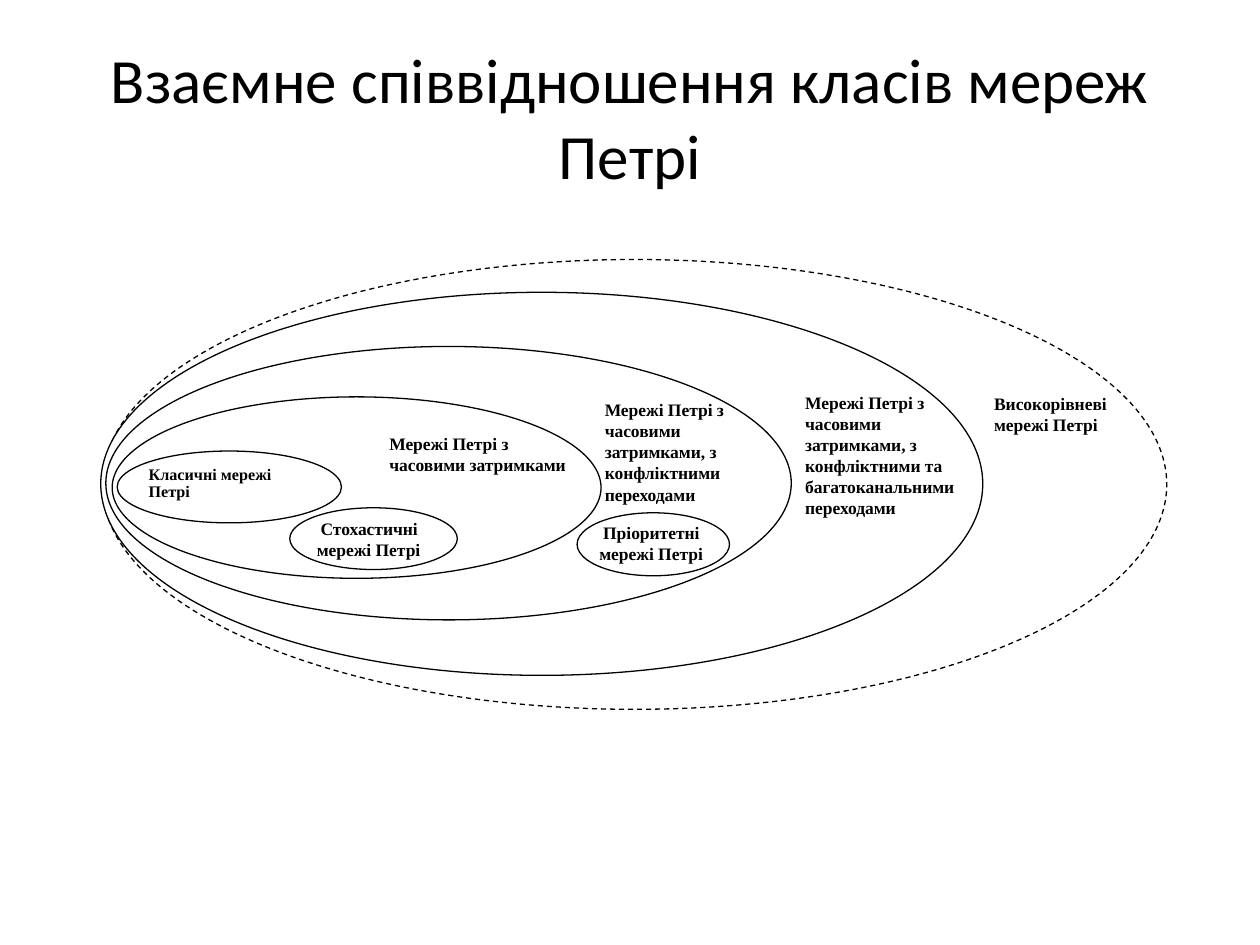
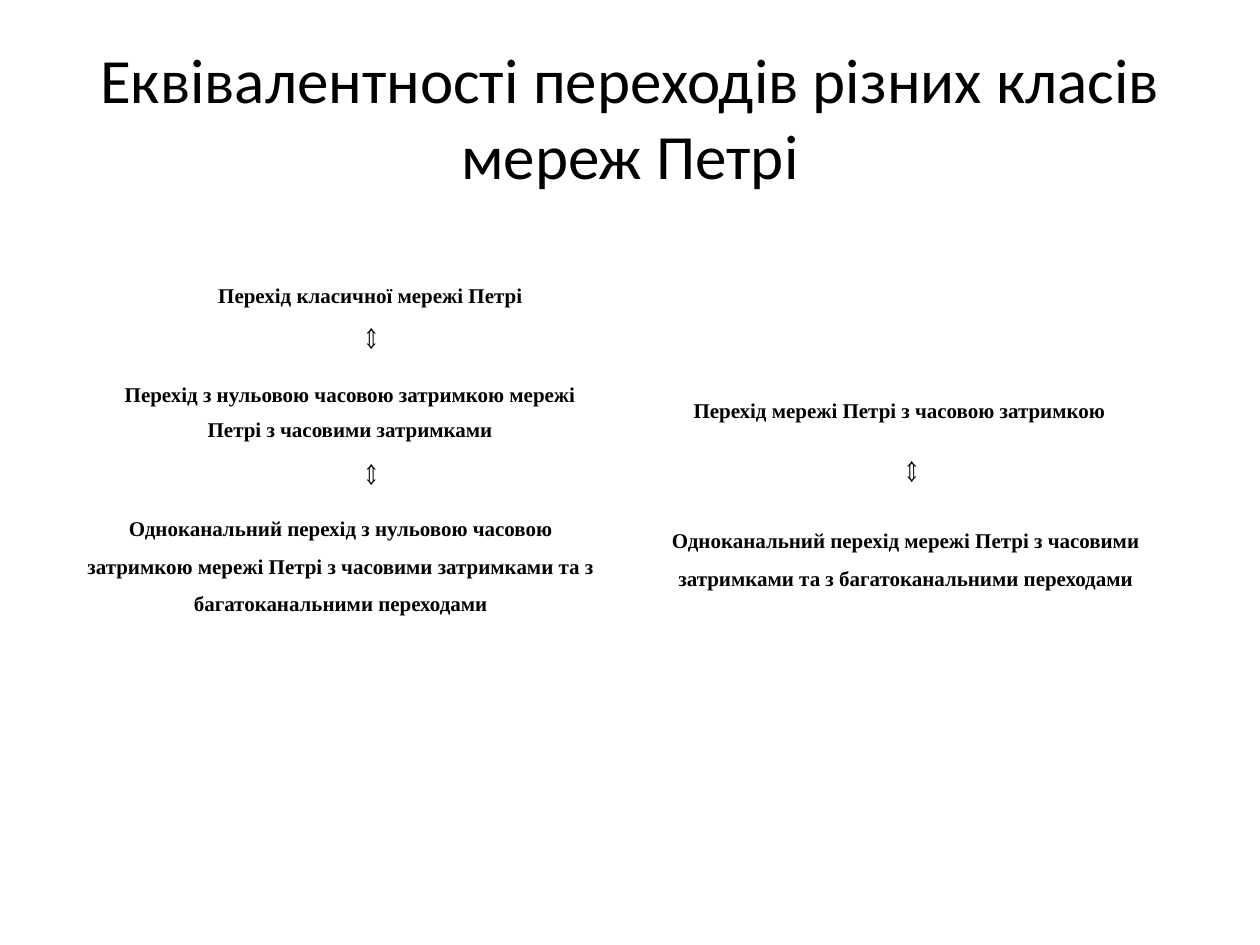
from dataclasses import dataclass

from pptx import Presentation
from pptx.dml.color import RGBColor
from pptx.enum.dml import MSO_LINE
from pptx.enum.shapes import MSO_SHAPE
from pptx.enum.text import MSO_ANCHOR, MSO_AUTO_SIZE, PP_ALIGN
from pptx.util import Inches, Pt


@dataclass(frozen=True)
class Theme:
    ink: RGBColor = RGBColor(0, 0, 0)
    paper: RGBColor = RGBColor(255, 255, 255)
    title_font: str = "Calibri"
    text_font: str = "Times New Roman"
    arrow_font: str = "Arial"
    title_size: float = 36
    statement_size: float = 12
    label_size: float = 10
    small_label_size: float = 9.2
    arrow_size: float = 20
    outline: float = 0.75


THEME = Theme()


# Shared helpers
def write_text(frame, text, size=THEME.label_size, font=THEME.text_font, bold=True,
               align=PP_ALIGN.LEFT, anchor=MSO_ANCHOR.TOP, spacing=None,
               insets=(0, 0), first_indent=0):
    """Fill a text frame; insets are (horizontal, vertical) in inches."""
    frame.word_wrap = True
    frame.auto_size = MSO_AUTO_SIZE.NONE
    frame.vertical_anchor = anchor
    frame.margin_left = frame.margin_right = Inches(insets[0])
    frame.margin_top = frame.margin_bottom = Inches(insets[1])
    para = frame.paragraphs[0]
    para.alignment = align
    if spacing:
        para.line_spacing = spacing
    if first_indent:
        para._p.get_or_add_pPr().set("indent", str(Inches(first_indent)))
    span = para.add_run()
    span.text = text
    span.font.name = font
    span.font.size = Pt(size)
    span.font.bold = bold
    span.font.color.rgb = THEME.ink


def place(origin, box):
    """Turn a box relative to an origin into slide lengths."""
    left, top, width, height = box
    return (Inches(origin[0] + left), Inches(origin[1] + top),
            Inches(width), Inches(height))


def add_panel(slide, origin, box, kind=MSO_SHAPE.RECTANGLE, outlined=False, dashed=False):
    panel = slide.shapes.add_shape(kind, *place(origin, box))
    panel.shadow.inherit = False
    panel.fill.solid()
    panel.fill.fore_color.rgb = THEME.paper
    if outlined:
        panel.line.color.rgb = THEME.ink
        panel.line.width = Pt(THEME.outline)
        if dashed:
            panel.line.dash_style = MSO_LINE.DASH
    else:
        panel.line.fill.background()
    return panel


def add_ellipse(slide, origin, box, dashed=False):
    return add_panel(slide, origin, box, MSO_SHAPE.OVAL, outlined=True, dashed=dashed)


def add_titled_slide(deck, title):
    slide = deck.slides.add_slide(deck.slide_layouts[5])
    heading = slide.shapes.title
    heading.left, heading.top, heading.width, heading.height = place((0.5, 0.3), (0, 0, 9, 1.25))
    write_text(heading.text_frame, title, size=THEME.title_size, font=THEME.title_font,
               bold=False, align=PP_ALIGN.CENTER, anchor=MSO_ANCHOR.MIDDLE, insets=(0.1, 0.05))
    return slide


# Nested classes of nets
def draw_class_diagram(slide, origin):
    nested_classes = [
        (0.01, 0, 8.45, 3.57),
        (0, 0.26, 7, 3.04),
        (0.04, 0.69, 5.44, 2.17),
        (0.09, 1.09, 3.88, 1.44),
        (0.13, 1.52, 1.78, 0.57),
    ]
    for level, box in enumerate(nested_classes):
        add_ellipse(slide, origin, box, dashed=level == 0)

    # Labels of the nested classes
    labels = [
        ("Високорівневі мережі Петрі", (7.09, 1.06, 0.94, 1.03)),
        ("Мережі Петрі з часовими затримками, з конфліктними та "
         "багатоканальними переходами", (5.59, 1.05, 1.41, 1.03)),
        ("Мережі Петрі з часовими затримками, з конфліктними переходами",
         (4, 1.11, 1.4, 0.84)),
        ("Мережі Петрі з часовими затримками", (2.29, 1.38, 1.53, 0.53)),
    ]
    for text, box in labels:
        label = slide.shapes.add_textbox(*place(origin, box))
        write_text(label.text_frame, text)
    classic = add_panel(slide, origin, (0.38, 1.64, 1.33, 0.25))
    write_text(classic.text_frame, "Класичні мережі Петрі",
               size=THEME.small_label_size, spacing=0.9)

    # Special classes inside the nested ones
    special_classes = [
        ("Стохастичні мережі Петрі", (1.5, 1.97, 1.33, 0.49), (0.02, 0.01)),
        ("Пріоритетні мережі Петрі", (3.78, 2.01, 1.21, 0.5), (0, 0)),
    ]
    for text, box, insets in special_classes:
        ellipse = add_ellipse(slide, origin, box)
        write_text(ellipse.text_frame, text, insets=insets, first_indent=0.03)


# Column of equivalent transitions
def draw_equivalence(slide, origin, statements, arrows):
    for text, box, spacing, insets in statements:
        panel = add_panel(slide, origin, box)
        write_text(panel.text_frame, text, size=THEME.statement_size,
                   align=PP_ALIGN.CENTER, spacing=spacing, insets=insets)
    for left, top in arrows:
        arrow = add_panel(slide, origin, (left, top, 0.75, 0.44))
        write_text(arrow.text_frame, "⇔", size=THEME.arrow_size, font=THEME.arrow_font,
                   bold=False, insets=(0.05, 0.1))
        arrow.text_frame._txBody.bodyPr.set("vert", "eaVert")


def build_classes_slide(deck):
    slide = add_titled_slide(deck, "Взаємне співвідношення класів мереж Петрі")
    draw_class_diagram(slide, (0.8, 2.06))


def build_equivalence_slide(deck):
    slide = add_titled_slide(deck, "Еквівалентності переходів різних класів мереж Петрі")
    padded, flush = (0.1, 0.05), (0, 0)
    draw_equivalence(slide, (0.67, 2.11), [
        ("Перехід класичної мережі Петрі", (0.47, 0, 3.6, 0.38), 1.4, padded),
        ("Перехід з нульовою часовою затримкою мережі Петрі з часовими затримками",
         (0.11, 0.79, 4, 0.64), 1.4, padded),
        ("Одноканальний перехід з нульовою часовою затримкою мережі Петрі "
         "з часовими затримками та з багатоканальними переходами",
         (0, 1.88, 4.07, 1.28), 1.5, flush),
    ], arrows=[(1.79, 0.34), (1.79, 1.42)])
    draw_equivalence(slide, (5.32, 3.01), [
        ("Перехід мережі Петрі з часовою затримкою", (-0.05, 0, 3.74, 0.74), 1.5, padded),
        ("Одноканальний перехід мережі Петрі з часовими затримками "
         "та з багатоканальними переходами", (0, 1.08, 3.74, 0.83), 1.5, flush),
    ], arrows=[(1.43, 0.5)])


def main():
    deck = Presentation()
    deck.slide_width, deck.slide_height = Inches(10), Inches(7.5)
    build_classes_slide(deck)
    build_equivalence_slide(deck)
    deck.save("out.pptx")


if __name__ == "__main__":
    main()
